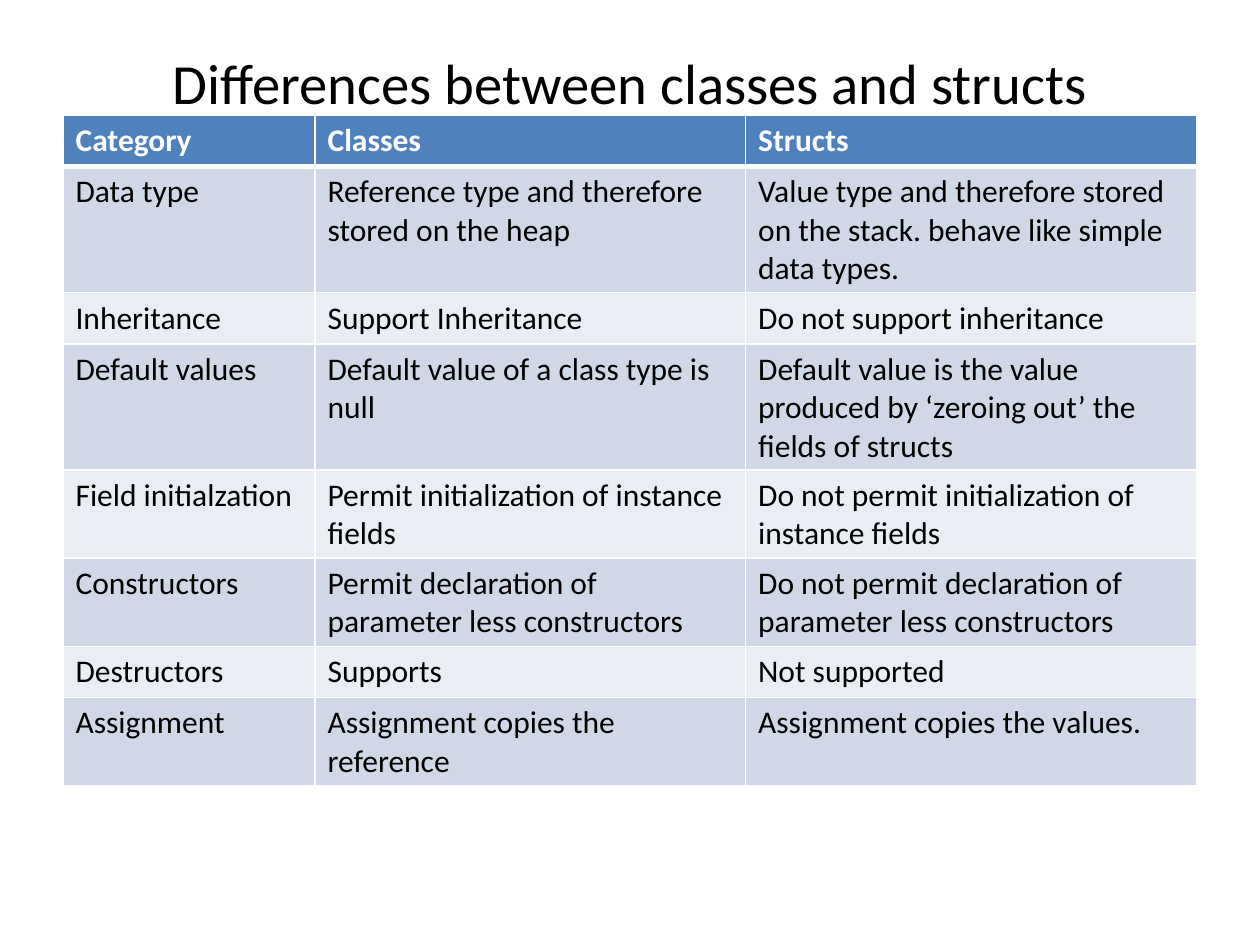
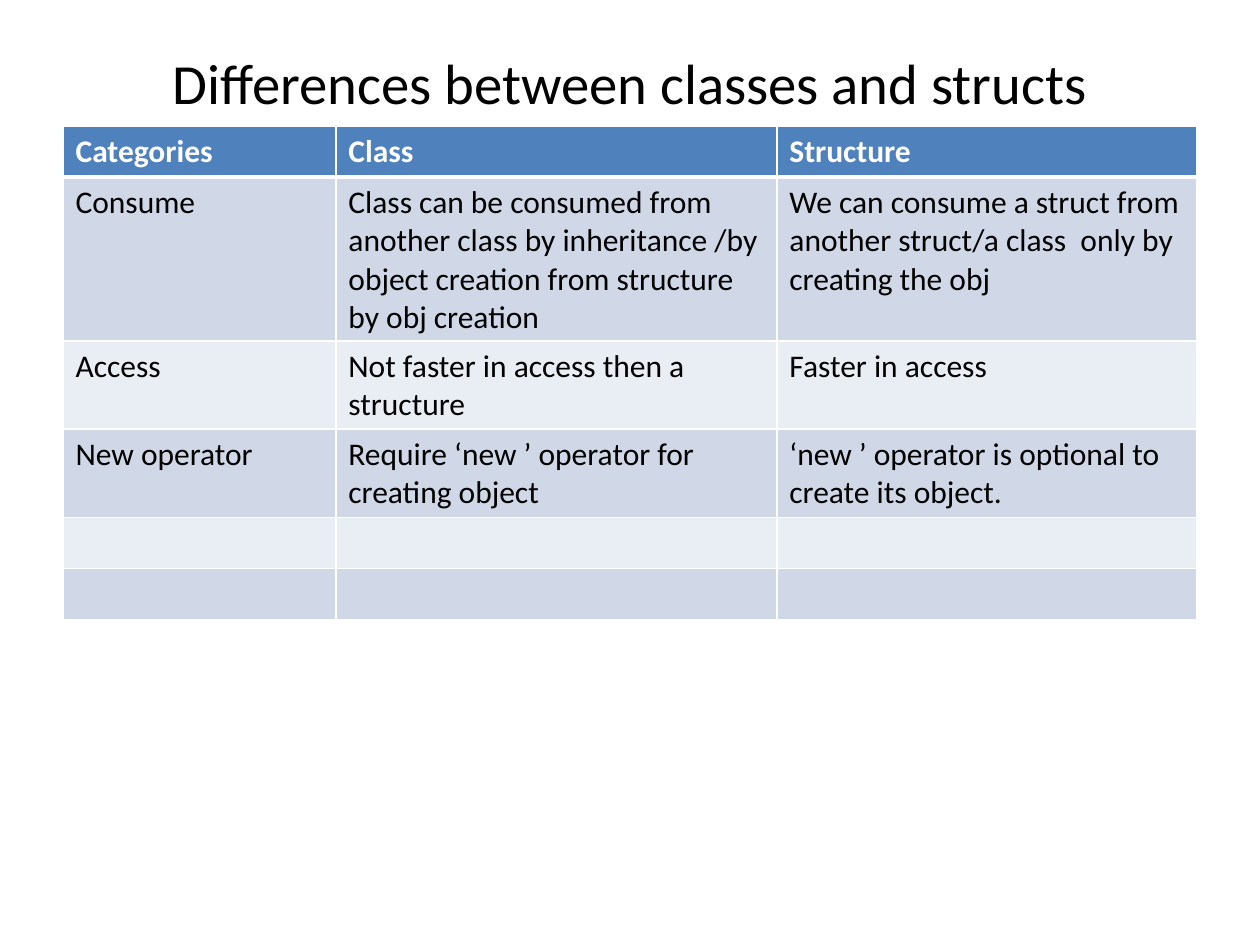
from dataclasses import dataclass

from lxml.etree import SubElement
from pptx import Presentation
from pptx.dml.color import RGBColor
from pptx.enum.text import MSO_ANCHOR, PP_ALIGN
from pptx.oxml.ns import qn
from pptx.slide import Slide
from pptx.table import _Cell as Cell
from pptx.text.text import _Paragraph as Paragraph
from pptx.util import Cm, Pt

COLORS = {
    "text": "000000",
    "white": "FFFFFF",
    "header": "4F81BD",
    "odd_row": "D0D8E8",
    "even_row": "E9EDF4",
}
FONT = "Calibri"
TITLE = "Differences between classes and structs"
LEFT, WIDTH = Cm(1.27), Cm(22.86)
ROW_HEIGHT = Cm(1.03)
THIN, THICK = Pt(1), Pt(3)


@dataclass(frozen=True)
class Comparison:
    top: float
    column_widths: tuple[float, ...]
    rows: tuple[tuple[str, str, str], ...]


COMPARISONS = (
    Comparison(2.33, (5.08, 8.68, 9.1), (
        ("Category", "Classes", "Structs"),
        ("Data type", "Reference type and therefore stored on the heap",
         "Value type and therefore stored on the stack. behave like simple data types."),
        ("Inheritance", "Support Inheritance", "Do not support inheritance"),
        ("Default values", "Default value of a class type is null",
         "Default value is the value produced by ‘zeroing out’ the fields of structs"),
        ("Field initialzation", "Permit initialization of instance fields",
         "Do not permit initialization of instance fields"),
        ("Constructors", "Permit declaration of parameter less constructors",
         "Do not permit declaration of parameter less constructors"),
        ("Destructors", "Supports", "Not supported"),
        ("Assignment", "Assignment copies the reference",
         "Assignment copies the values."),
    )),
    Comparison(2.54, (5.5, 8.89, 8.47), (
        ("Categories", "Class", "Structure"),
        ("Consume",
         "Class can be consumed from another class by inheritance /by object "
         "creation from structure by obj creation",
         "We can consume a struct from another struct/a class  only by creating the obj"),
        ("Access", "Not faster in access then a structure", "Faster in access"),
        ("New operator", "Require ‘new ’ operator for creating object",
         "‘new ’ operator is optional to create its object."),
        ("", "", ""),
        ("", "", ""),
    )),
)


def color(name: str) -> RGBColor:
    return RGBColor.from_string(COLORS[name])


def set_font(paragraph: Paragraph, size: float, color_name: str, bold: bool = False) -> None:
    font = paragraph.font
    font.name, font.size, font.bold = FONT, Pt(size), bold
    font.color.rgb = color(color_name)


def add_title(slide: Slide) -> None:
    frame = slide.shapes.add_textbox(LEFT, Cm(0.76), WIDTH, Cm(1.78)).text_frame
    frame.word_wrap = True
    frame.vertical_anchor = MSO_ANCHOR.MIDDLE
    paragraph = frame.paragraphs[0]
    paragraph.text = TITLE
    paragraph.alignment = PP_ALIGN.CENTER
    set_font(paragraph, 32.4, "text")


def set_borders(cell: Cell, top: int, bottom: int) -> None:
    properties = cell._tc.get_or_add_tcPr()
    for side, width in (("L", THIN), ("R", THIN), ("T", top), ("B", bottom)):
        line = SubElement(properties, qn(f"a:ln{side}"), w=str(int(width)))
        fill = SubElement(line, qn("a:solidFill"))
        SubElement(fill, qn("a:srgbClr"), val=COLORS["white"])


def fill_cell(cell: Cell, text: str, row_index: int) -> None:
    is_header = row_index == 0
    set_borders(cell, THICK if row_index == 1 else THIN, THICK if is_header else THIN)
    fill_name = "header" if is_header else "odd_row" if row_index % 2 else "even_row"
    cell.fill.solid()
    cell.fill.fore_color.rgb = color(fill_name)
    paragraph = cell.text_frame.paragraphs[0]
    if text:
        paragraph.text = text
    set_font(paragraph, 18, "white" if is_header else "text", is_header)


def add_comparison(slide: Slide, comparison: Comparison) -> None:
    row_count = len(comparison.rows)
    table = slide.shapes.add_table(
        row_count, len(comparison.column_widths),
        LEFT, Cm(comparison.top), WIDTH, ROW_HEIGHT * row_count,
    ).table
    for column, width in zip(table.columns, comparison.column_widths):
        column.width = Cm(width)
    for row_index, texts in enumerate(comparison.rows):
        table.rows[row_index].height = ROW_HEIGHT
        for column_index, text in enumerate(texts):
            fill_cell(table.cell(row_index, column_index), text, row_index)


def main() -> None:
    presentation = Presentation()
    presentation.slide_width, presentation.slide_height = Cm(25.4), Cm(19.05)
    for comparison in COMPARISONS:
        slide = presentation.slides.add_slide(presentation.slide_layouts[6])
        add_title(slide)
        add_comparison(slide, comparison)
    presentation.save("out.pptx")


if __name__ == "__main__":
    main()
